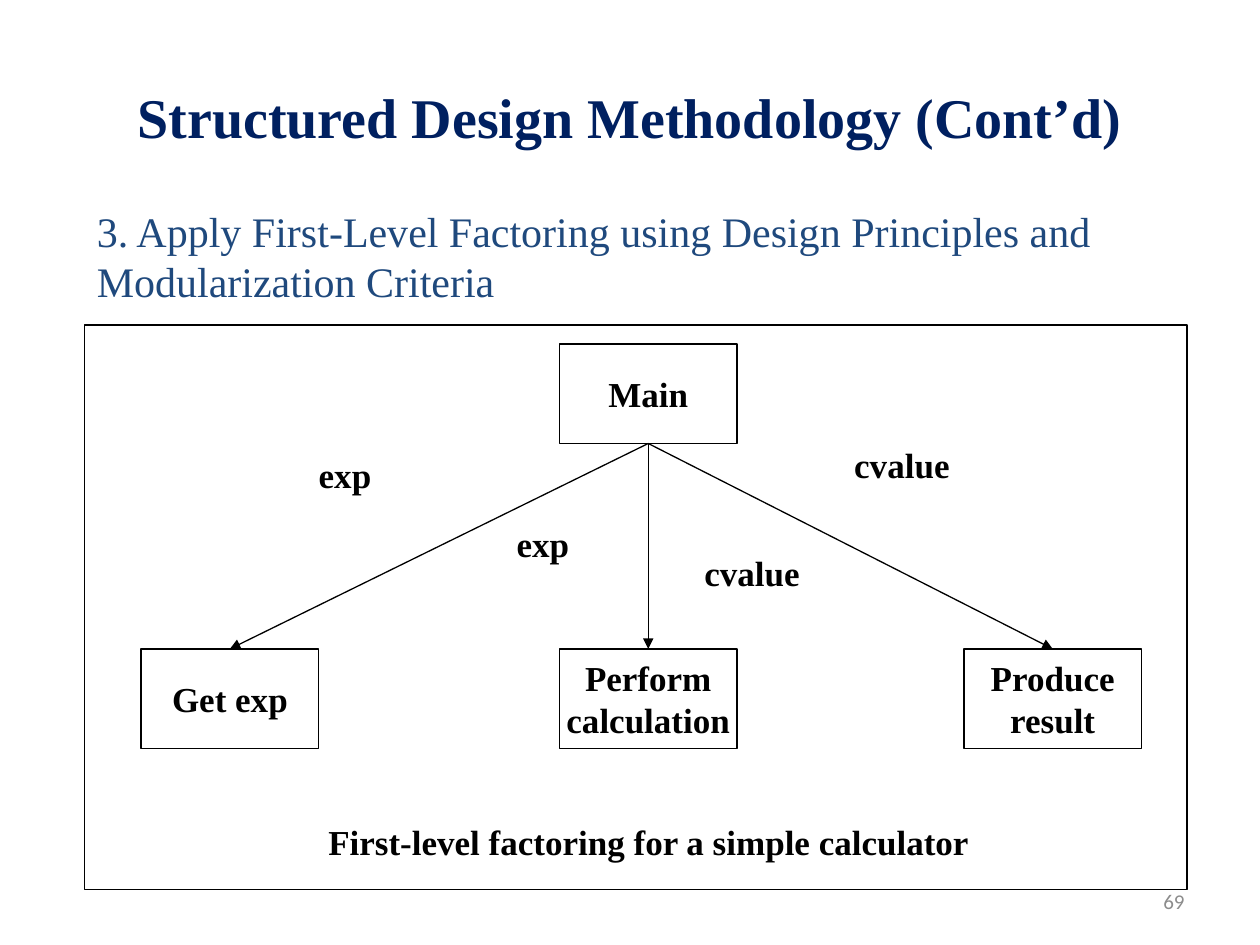
import pptx
import pptx.util
import pptx.dml.color
import pptx.enum.shapes
import pptx.enum.text
import pptx.oxml.ns
from lxml import etree

CELL = 0.1
SERIF = "Times New Roman"
ALIGN = pptx.enum.text.PP_ALIGN
ANCHOR = pptx.enum.text.MSO_ANCHOR
MARGINS = ("margin_left", "margin_top", "margin_right", "margin_bottom")
BOLD = {"name": SERIF, "size": pptx.util.Pt(20), "bold": True}


def grid(*cells):
    return [pptx.util.Inches(c * CELL) for c in cells]


def color(value):
    return pptx.dml.color.RGBColor.from_string(value)


def write(sp, text, font, ink, align, anchor, margin=None):
    tf = sp.text_frame
    tf.word_wrap = True
    tf.vertical_anchor = anchor
    if margin is not None:
        for side in MARGINS:
            setattr(tf, side, margin)
    p = tf.paragraphs[0]
    p.alignment = align
    r = p.add_run()
    r.text = text
    for key, value in font.items():
        setattr(r.font, key, value)
    r.font.color.rgb = color(ink)


def add_box(s, box, fill=None, line=None):
    sp = s.shapes.add_shape(pptx.enum.shapes.MSO_SHAPE.RECTANGLE, *grid(*box))
    sp.shadow.inherit = False
    if fill:
        sp.fill.solid()
        sp.fill.fore_color.rgb = color(fill)
    else:
        sp.fill.background()
    if line:
        sp.line.color.rgb = color(line)
        sp.line.width = pptx.util.Pt(0.75)
    else:
        sp.line.fill.background()
    return sp


def add_arrow(s, parent, child):
    c = s.shapes.add_connector(pptx.enum.shapes.MSO_CONNECTOR.STRAIGHT, 0, 0, 0, 0)
    c.begin_connect(parent, 2)
    c.end_connect(child, 0)
    c.line.color.rgb = color("000000")
    c.line.width = pptx.util.Pt(0.75)
    qn = pptx.oxml.ns.qn
    etree.SubElement(c.line._get_or_add_ln(), qn("a:tailEnd"), type="triangle")
    etree.SubElement(c._element.spPr, qn("a:effectLst"))


def add_title(s, box):
    sp = s.shapes.title
    sp.left, sp.top, sp.width, sp.height = grid(*box)
    font = {"name": SERIF, "size": pptx.util.Pt(32), "bold": True}
    write(sp, "Structured Design Methodology (Cont’d)", font, "002060",
          ALIGN.CENTER, ANCHOR.MIDDLE)


def add_text(s, box, text, font, ink, align, anchor):
    write(s.shapes.add_textbox(*grid(*box)), text, font, ink, align, anchor)


def add_diagram(s, box):
    left, top, width, height = box
    add_box(s, box, line="000000")

    def module(text, col, row):
        sp = add_box(s, (left + col, top + row, 14.1, 7.9), "FFFFFF", "000000")
        write(sp, text, BOLD, "000000", ALIGN.CENTER, ANCHOR.MIDDLE, 0)
        return sp

    main = module("Main", 37.7, 1.5)
    steps = {"Get exp": 4.5, "Perform calculation": 37.7, "Produce result": 69.8}
    children = [module(text, col, 25.7) for text, col in steps.items()]
    for child in children:
        add_arrow(s, main, child)

    caption = add_box(s, (left + 7.8, top + 39.3, 74, 4.3), "FFFFFF")
    write(caption, "First-level factoring for a simple calculator", BOLD,
          "000000", ALIGN.CENTER, ANCHOR.TOP, 0)
    labels = [("exp", 18.6, 10.2, 5.4), ("exp", 34.3, 15.7, 5.4),
              ("cvalue", 49.2, 18, 8.7), ("cvalue", 61.1, 9.4, 8.7)]
    for text, col, row, span in labels:
        sp = add_box(s, (left + col, top + row, span, 4.1), "FFFFFF", "FFFFFF")
        write(sp, text, BOLD, "000000", ALIGN.LEFT, ANCHOR.TOP, 0)


def main():
    prs = pptx.Presentation()
    prs.slide_width, prs.slide_height = grid(100, 75)
    s = prs.slides.add_slide(prs.slide_layouts[5])
    add_title(s, (5, 3, 90, 12.5))
    add_text(s, (71.7, 69.5, 23.3, 4), "69",
             {"name": "Calibri", "size": pptx.util.Pt(12)}, "8C8C8C",
             ALIGN.RIGHT, ANCHOR.MIDDLE)
    add_diagram(s, (6.7, 25.8, 87.5, 44.8))
    add_text(s, (6.7, 15.8, 85.8, 9.1),
             "3. Apply First-Level Factoring using Design Principles and "
             "Modularization Criteria",
             {"name": SERIF, "size": pptx.util.Pt(24)}, "1F497D",
             ALIGN.LEFT, ANCHOR.TOP)
    prs.save("out.pptx")


if __name__ == "__main__":
    main()
